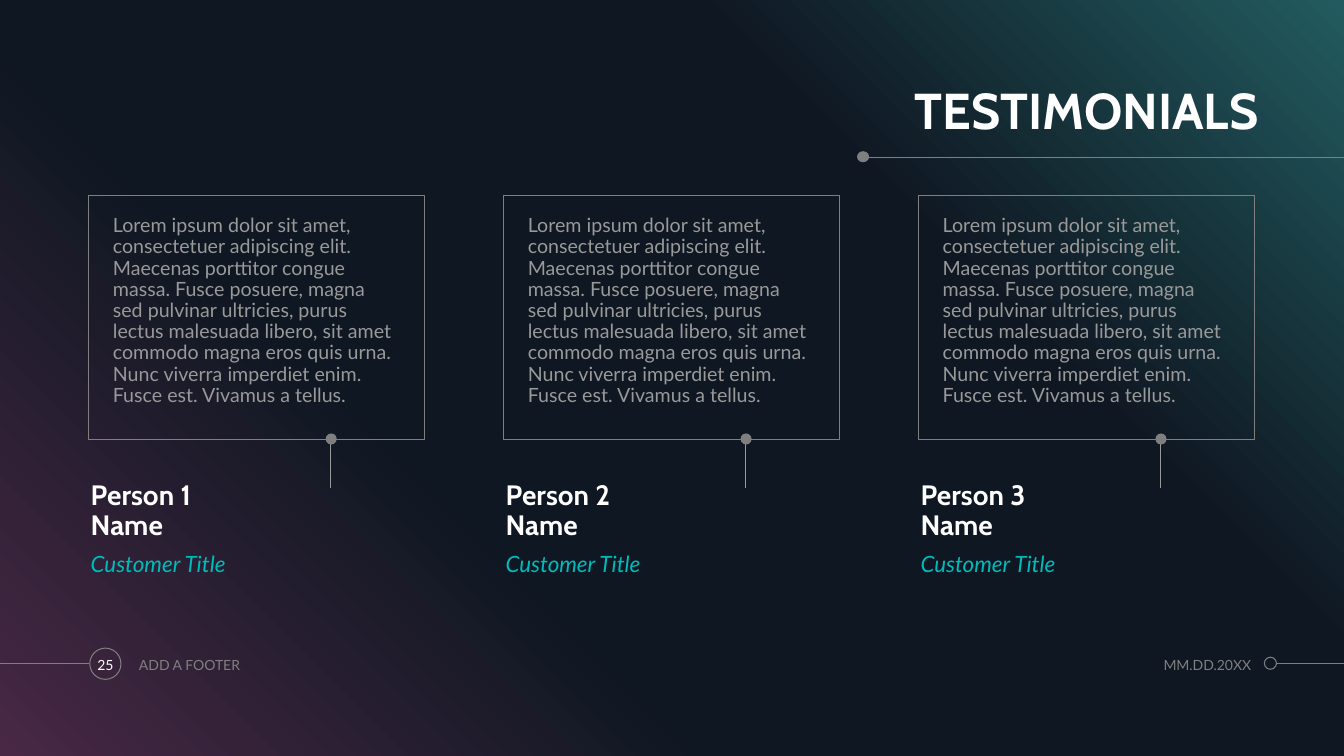
from lxml import etree
from pptx import Presentation
from pptx.dml.color import RGBColor
from pptx.enum.shapes import MSO_CONNECTOR, MSO_SHAPE
from pptx.enum.text import MSO_ANCHOR as ANCHOR, MSO_AUTO_SIZE, PP_ALIGN as ALIGN
from pptx.oxml.ns import qn
from pptx.util import Inches, Pt

WHITE = RGBColor(0xFF, 0xFF, 0xFF)
GRAY = RGBColor(0x7F, 0x7F, 0x7F)
LIGHT_GRAY = RGBColor(0x99, 0x99, 0x99)
TEAL = RGBColor(0x00, 0xBB, 0xBB)
BACKDROP_STOPS = [(0, "482845"), (34, "0F1722"), (69, "0F1722"), (100, "225B5F")]
QUOTE = (
    "Lorem ipsum dolor sit amet, consectetuer adipiscing elit. Maecenas porttitor "
    "congue massa. Fusce posuere, magna sed pulvinar ultricies, purus lectus "
    "malesuada libero, sit amet commodo magna eros quis urna. Nunc viverra "
    "imperdiet enim. Fusce est. Vivamus a tellus."
)

prs = Presentation()
prs.slide_width, prs.slide_height = Inches(13.33), Inches(7.5)
slide = prs.slides.add_slide(prs.slide_layouts[5])
shapes = slide.shapes


def write(box, text, font, size, color, align=ALIGN.LEFT, anchor=ANCHOR.TOP,
          inset=(0, 0), spacing=1.0, bold=False, italic=False):
    frame = box.text_frame
    frame.word_wrap = True
    frame.auto_size = MSO_AUTO_SIZE.NONE
    frame.vertical_anchor = anchor
    frame.margin_left = frame.margin_right = Inches(inset[0])
    frame.margin_top = frame.margin_bottom = Inches(inset[1])
    paragraph = frame.paragraphs[0]
    paragraph.text = text
    paragraph.alignment = align
    paragraph.line_spacing = spacing
    paragraph.font.name, paragraph.font.size = font, Pt(size)
    paragraph.font.bold, paragraph.font.italic = bold, italic
    paragraph.font.color.rgb = color


def place(kind, left, top, width, height, fill=None, line=None):
    shape = shapes.add_shape(kind, Inches(left), Inches(top), Inches(width), Inches(height))
    shape.shadow.inherit = False
    if fill is None:
        shape.fill.background()
    else:
        shape.fill.solid()
        shape.fill.fore_color.rgb = fill
    if line is None:
        shape.line.fill.background()
    else:
        shape.line.color.rgb = line
        shape.line.width = Pt(0.75)
    return shape


# Diagonal gradient backdrop, sent behind the title
backdrop = place(MSO_SHAPE.RECTANGLE, 0, 0, 13.33, 7.5)
backdrop.fill.gradient()
backdrop.fill.gradient_angle = 45
stop_list = backdrop._element.spPr.find(qn("a:gradFill")).find(qn("a:gsLst"))
for stop in list(stop_list):
    stop_list.remove(stop)
for percent, color in BACKDROP_STOPS:
    stop = etree.SubElement(stop_list, qn("a:gs"), pos=str(percent * 1000))
    etree.SubElement(stop, qn("a:srgbClr"), val=color)
shapes._spTree.insert(2, backdrop._element)

# Title
title = shapes.title
title.left, title.top, title.width, title.height = (
    Inches(5.58), Inches(0.77), Inches(6.9), Inches(0.62))
write(title, "TESTIMONIALS", "Cabin", 36, WHITE, ALIGN.RIGHT, ANCHOR.BOTTOM,
      spacing=0.9, bold=True)

# Rules under the title, beside the footer, and below each card
card_lefts = [0.88 + 4.115 * column for column in range(3)]
rules = [
    (13.33, 1.56, 8.59, 1.56, GRAY),
    (12.66, 6.58, 13.33, 6.58, GRAY),
    (0, 6.585, 0.88, 6.585, GRAY),
]
rules += [(left + 2.4, 4.84, left + 2.4, 4.36, LIGHT_GRAY) for left in card_lefts]
for x1, y1, x2, y2, color in rules:
    rule = shapes.add_connector(
        MSO_CONNECTOR.STRAIGHT, Inches(x1), Inches(y1), Inches(x2), Inches(y2))
    rule.line.color.rgb = color
    rule.line.width = Pt(0.75)
    etree.SubElement(rule._element.spPr, qn("a:effectLst"))

# Dot on the title rule and rings on the footer rules
place(MSO_SHAPE.OVAL, 8.5, 1.5, 0.12, 0.11, fill=GRAY)
place(MSO_SHAPE.OVAL, 12.54, 6.52, 0.12, 0.12, line=GRAY)
place(MSO_SHAPE.OVAL, 0.89, 6.43, 0.31, 0.31, line=GRAY)

# Testimonial cards
for number, left in enumerate(card_lefts, start=1):
    place(MSO_SHAPE.OVAL, left + 2.35, 4.3, 0.11, 0.11, fill=GRAY)
    card = place(MSO_SHAPE.RECTANGLE, left, 1.94, 3.33, 2.42, line=GRAY)
    write(card, QUOTE, "Lato", 14, LIGHT_GRAY, inset=(0.24, 0.2), spacing=0.9)
    person = shapes.add_textbox(Inches(left + 0.02), Inches(4.58), Inches(1.78), Inches(0.79))
    write(person, f"Person {number}\vName", "Cabin", 20, WHITE, anchor=ANCHOR.BOTTOM,
          spacing=0.9, bold=True)
    role = shapes.add_textbox(Inches(left + 0.02), Inches(5.46), Inches(1.78), Inches(0.36))
    write(role, "Customer Title", "Lato", 16, TEAL, italic=True)

# Page number, footer and date
for text, left, width, color, align, inset in [
    ("25", 0.85, 0.39, WHITE, ALIGN.CENTER, (0.1, 0.05)),
    ("ADD A FOOTER", 1.28, 3.19, GRAY, ALIGN.LEFT, (0.1, 0.05)),
    ("MM.DD.20XX", 10.95, 1.46, GRAY, ALIGN.RIGHT, (0, 0)),
]:
    note = shapes.add_textbox(Inches(left), Inches(6.43), Inches(width), Inches(0.33))
    write(note, text, "Lato", 10, color, align, ANCHOR.MIDDLE, inset)

prs.save("out.pptx")
